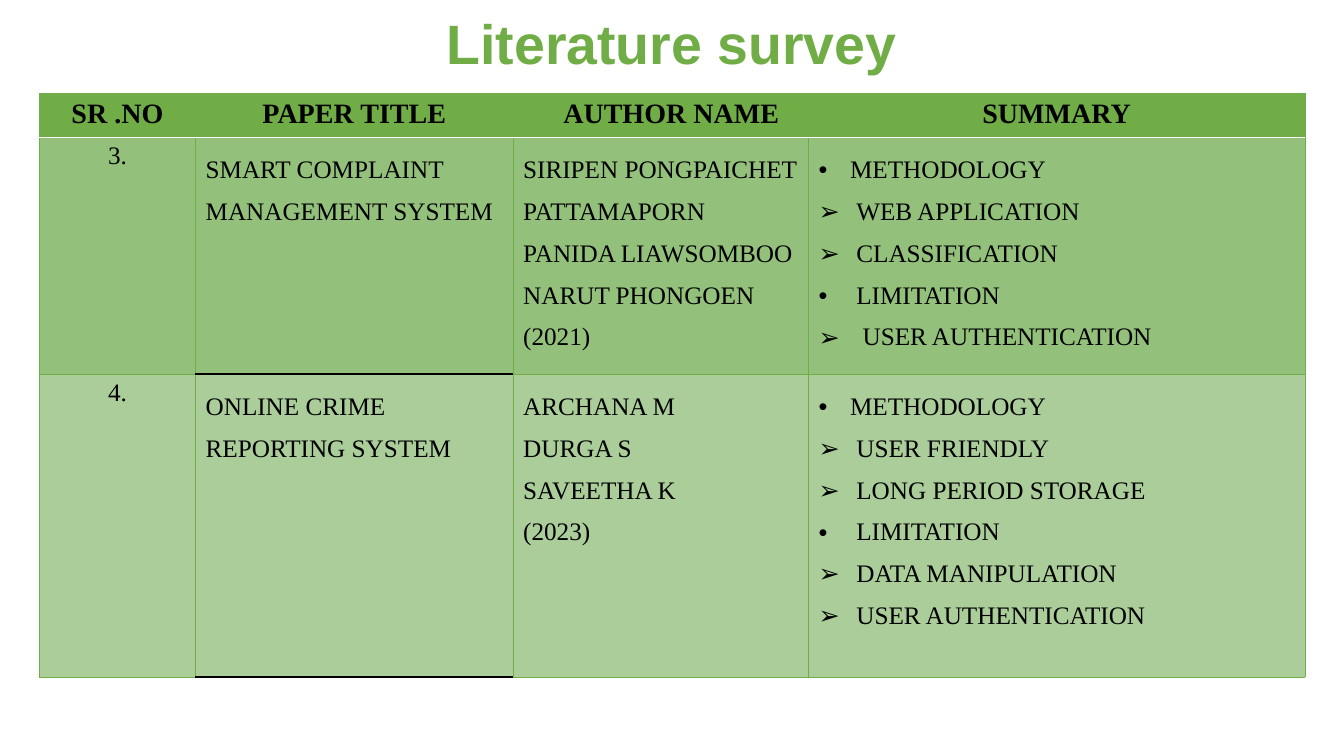
from lxml.etree import SubElement
from pptx import Presentation
from pptx.dml.color import RGBColor as RGB
from pptx.enum.text import PP_ALIGN as ALIGN
from pptx.oxml.ns import qn
from pptx.util import Pt

COLORS = {
    "green": "70AD47",
    "row_dark": "93C17B",
    "row_light": "AACD9A",
    "black": "000000",
    "white": "FFFFFF",
}
COLUMN_WIDTHS = [111.6, 226.8, 211, 354.6]
ROW_HEIGHTS = [29.6, 156.6, 216.4]
ROW_FILLS = ["green", "row_dark", "row_light"]
AUTHOR_COLUMN, TITLE_COLUMN, SUMMARY_COLUMN = 2, 1, 3

HEADINGS = ["SR .NO", "PAPER TITLE", "AUTHOR NAME", "SUMMARY"]
# Each summary line: bullet, text indent in points, text
PAPERS = [
    [["3."],
     ["SMART COMPLAINT MANAGEMENT SYSTEM"],
     ["SIRIPEN PONGPAICHET PATTAMAPORN PANIDA LIAWSOMBOO NARUT PHONGOEN", "(2021)"],
     [("•", 22.5, "METHODOLOGY"),
      ("➢", 27, "WEB APPLICATION"),
      ("➢", 27, "CLASSIFICATION"),
      ("•", 27, "LIMITATION"),
      ("➢", 31.5, "USER AUTHENTICATION")]],
    [["4."],
     ["ONLINE CRIME REPORTING SYSTEM"],
     ["ARCHANA M", "DURGA S", "SAVEETHA K", "(2023)"],
     [("•", 22.5, "METHODOLOGY"),
      ("➢", 27, "USER FRIENDLY"),
      ("➢", 27, "LONG PERIOD STORAGE"),
      ("•", 27, "LIMITATION"),
      ("➢", 27, "DATA MANIPULATION"),
      ("➢", 27, "USER AUTHENTICATION")]],
]


def add_border(cell, side, color, width):
    """Draw one cell edge; side is L, R, T or B, in that order."""
    line = SubElement(cell._tc.get_or_add_tcPr(), qn(f"a:ln{side}"), w=str(Pt(width)))
    fill = SubElement(line, qn("a:solidFill"))
    SubElement(fill, qn("a:srgbClr"), val=COLORS[color])


def add_bullet(para, bullet, indent):
    properties = para._p.get_or_add_pPr()
    properties.set("marL", str(Pt(indent)))
    properties.set("indent", str(-Pt(indent)))
    SubElement(properties, qn("a:buFont"), typeface="Arial")
    SubElement(properties, qn("a:buChar"), char=bullet)


deck = Presentation()
deck.slide_width, deck.slide_height = Pt(960), Pt(540)
page = deck.slides.add_slide(deck.slide_layouts[6])

# Title
box = page.shapes.add_textbox(Pt(54.7), Pt(12), Pt(850), Pt(42))
frame = box.text_frame
frame.word_wrap = True
frame.margin_left = frame.margin_right = frame.margin_top = frame.margin_bottom = 0
para = frame.paragraphs[0]
para.text = "Literature survey"
para.alignment = ALIGN.CENTER
para.line_spacing = 0.9
para.font.name, para.font.size, para.font.bold = "Arial", Pt(39.6), True
para.font.color.rgb = RGB.from_string(COLORS["green"])

# Survey table
rows = [[[heading] for heading in HEADINGS]] + PAPERS
table = page.shapes.add_table(
    len(rows), len(HEADINGS), Pt(28.1), Pt(66.7),
    Pt(sum(COLUMN_WIDTHS)), Pt(sum(ROW_HEIGHTS))).table
table.first_row = table.horz_banding = False
for column, width in zip(table.columns, COLUMN_WIDTHS):
    column.width = Pt(width)
for row, height in zip(table.rows, ROW_HEIGHTS):
    row.height = Pt(height)

for r, row in enumerate(rows):
    for c, lines in enumerate(row):
        cell = table.cell(r, c)

        # A row's top edge repeats the bottom edge of the row above it
        row_edge = ("black", 1) if c == TITLE_COLUMN else ("green", 0.5)
        header_edge = ("white", 1)
        top = [("green", 0.5), header_edge, row_edge][r]
        bottom = header_edge if r == 0 else row_edge
        add_border(cell, "L", "green", 0.5)
        add_border(cell, "R", "green", 0.5)
        add_border(cell, "T", *top)
        add_border(cell, "B", *bottom)
        cell.fill.solid()
        cell.fill.fore_color.rgb = RGB.from_string(COLORS[ROW_FILLS[r]])
        if r == 0 and c == AUTHOR_COLUMN:
            cell.margin_left = Pt(22.2)

        frame = cell.text_frame
        for i, line in enumerate(lines):
            para = frame.paragraphs[0] if i == 0 else frame.add_paragraph()
            if r == 0 or c == 0:
                para.alignment = ALIGN.CENTER
            else:
                para.line_spacing = 1.5
            if r > 0 and c == SUMMARY_COLUMN:
                bullet, indent, line = line
                add_bullet(para, bullet, indent)
            para.text = line
            para.font.name = "Times New Roman"
            para.font.size = Pt(20 if r == 0 else 18)
            para.font.bold = r == 0
            para.font.color.rgb = RGB.from_string(COLORS["black"])

deck.save("out.pptx")
